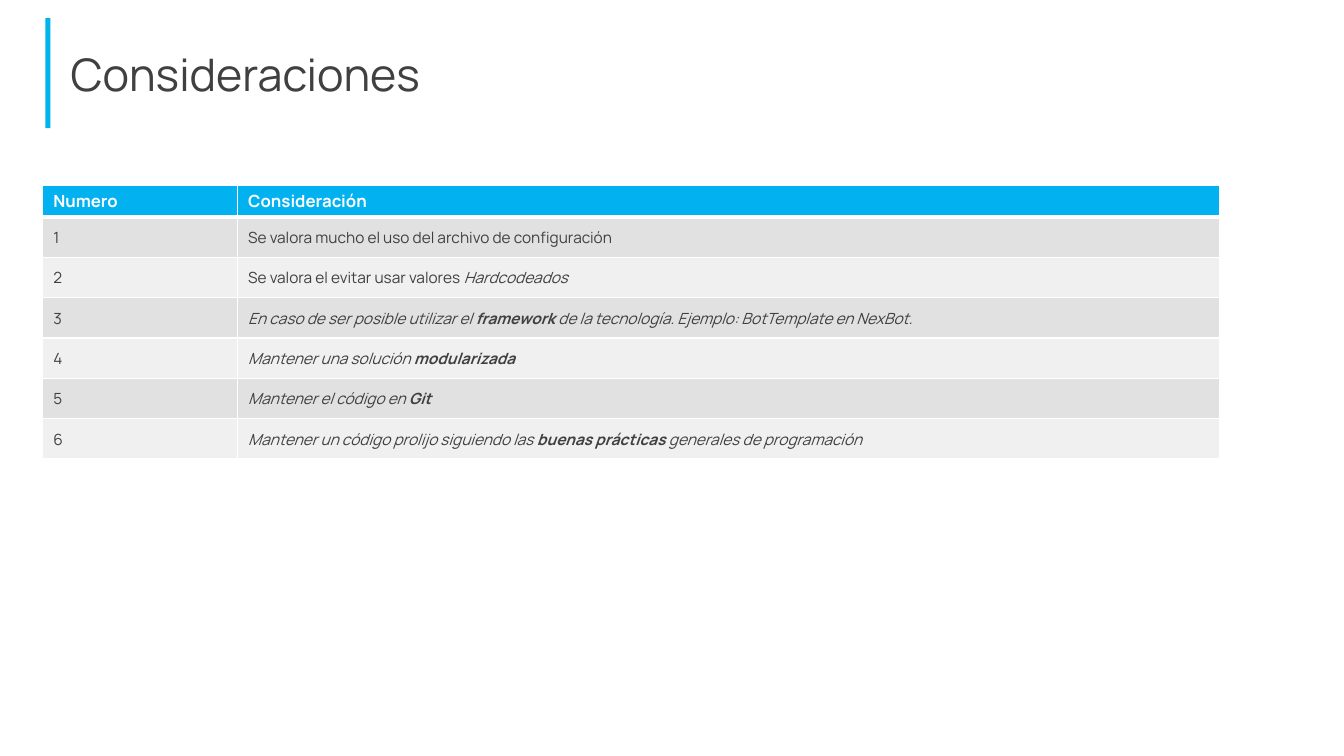
from dataclasses import dataclass

from lxml.etree import SubElement as Sub
from pptx import Presentation
from pptx.dml.color import RGBColor as Rgb
from pptx.enum.shapes import MSO_SHAPE as Shape
from pptx.enum.text import MSO_ANCHOR as Anchor, MSO_AUTO_SIZE as Fit, PP_ALIGN as Align
from pptx.oxml.ns import qn
from pptx.slide import Slide
from pptx.table import _Cell as Cell
from pptx.text.text import Font
from pptx.util import Pt


@dataclass(frozen=True)
class Theme:
    face: str = "Manrope"
    ink: str = "404040"
    white: str = "FFFFFF"
    bar: str = "00B3EA"
    head: str = "01B1F0"
    bands: tuple[str, str] = ("E1E1E1", "F0F0F0")
    title_size: float = 32
    head_size: float = 12
    body_size: float = 11
    thin: float = 1
    thick: float = 3


@dataclass(frozen=True)
class Bit:
    text: str
    bold: bool | None = None
    slant: bool | None = None


@dataclass(frozen=True)
class Note:
    bits: tuple[Bit, ...]
    slant: bool = False


THEME = Theme()
HEADS = ("Numero", "Consideración")
WIDTHS = (139.2, 701.6)
HEAD_TALL, ROW_TALL = 23.0, 28.8
NOTES = (
    Note((Bit("Se valora mucho el uso del archivo de configuración"),)),
    Note((Bit("Se valora el evitar usar valores "), Bit("Hardcodeados", slant=True))),
    Note((
        Bit("En caso de ser posible utilizar el "),
        Bit("framework ", bold=True),
        Bit("de la tecnología. Ejemplo: BotTemplate en NexBot."),
    ), slant=True),
    Note((Bit("Mantener una solución "), Bit("modularizada", bold=True)), slant=True),
    Note((Bit("Mantener el código en "), Bit("Git", bold=True)), slant=True),
    Note((
        Bit("Mantener un código prolijo siguiendo las "),
        Bit("buenas prácticas", bold=True),
        Bit(" generales de programación"),
    ), slant=True),
)


def set_font(font: Font, size: float, tint: str, bold: bool = False, slant: bool = False) -> None:
    font.name = THEME.face
    font.size = Pt(size)
    font.color.rgb = Rgb.from_string(tint)
    font.bold = bold
    font.italic = slant


def add_edge(cell: Cell, side: str, width: float) -> None:
    line = Sub(cell._tc.get_or_add_tcPr(), qn(f"a:ln{side}"), w=str(Pt(width)))
    fill = Sub(line, qn("a:solidFill"))
    Sub(fill, qn("a:srgbClr"), val=THEME.white)


def fill_cell(cell: Cell, note: Note, tint: str, head: bool = False) -> None:
    cell.margin_left, cell.margin_right = Pt(7.5), Pt(0.72)
    cell.margin_top, cell.margin_bottom = Pt(0.72), Pt(0)
    cell.vertical_anchor = Anchor.MIDDLE
    for side in "LRT":
        add_edge(cell, side, THEME.thin)
    add_edge(cell, "B", THEME.thick if head else THEME.thin)
    cell.fill.solid()
    cell.fill.fore_color.rgb = Rgb.from_string(tint)
    para = cell.text_frame.paragraphs[0]
    size = THEME.head_size if head else THEME.body_size
    set_font(para.font, size, THEME.white if head else THEME.ink, head, note.slant)
    for bit in note.bits:
        run = para.add_run()
        run.text = bit.text
        if bit.bold is not None:
            run.font.bold = bit.bold
        if bit.slant is not None:
            run.font.italic = bit.slant


def add_bar(slide: Slide) -> None:
    bar = slide.shapes.add_shape(Shape.RECTANGLE, Pt(32.4), Pt(13), Pt(3.6), Pt(78.5))
    bar.shadow.inherit = False
    bar.fill.solid()
    bar.fill.fore_color.rgb = Rgb.from_string(THEME.bar)
    bar.line.fill.background()


def set_title(slide: Slide, text: str) -> None:
    title = slide.shapes.title
    title.left, title.top, title.width, title.height = Pt(43.2), Pt(20.2), Pt(828), Pt(64.8)
    frame = title.text_frame
    frame.text = text
    frame.word_wrap = True
    frame.auto_size = Fit.NONE
    frame.vertical_anchor = Anchor.MIDDLE
    para = frame.paragraphs[0]
    para.alignment = Align.LEFT
    set_font(para.font, THEME.title_size, THEME.ink)


def add_grid(slide: Slide) -> None:
    tall = HEAD_TALL + ROW_TALL * len(NOTES)
    grid = slide.shapes.add_table(
        len(NOTES) + 1, len(HEADS), Pt(30.6), Pt(132.1), Pt(sum(WIDTHS)), Pt(tall)
    ).table
    grid.first_row = grid.horz_banding = False
    for col, width in zip(grid.columns, WIDTHS):
        col.width = Pt(width)
    for row in grid.rows:
        row.height = Pt(ROW_TALL)
    grid.rows[0].height = Pt(HEAD_TALL)
    for col, text in enumerate(HEADS):
        fill_cell(grid.cell(0, col), Note((Bit(text),)), THEME.head, head=True)
    for row, note in enumerate(NOTES, 1):
        tint = THEME.bands[(row - 1) % 2]
        fill_cell(grid.cell(row, 0), Note((Bit(str(row)),)), tint)
        fill_cell(grid.cell(row, 1), note, tint)


def main() -> None:
    deck = Presentation()
    deck.slide_width, deck.slide_height = Pt(960), Pt(540)
    slide = deck.slides.add_slide(deck.slide_layouts[5])
    add_bar(slide)
    set_title(slide, "Consideraciones")
    add_grid(slide)
    deck.save("out.pptx")


if __name__ == "__main__":
    main()
